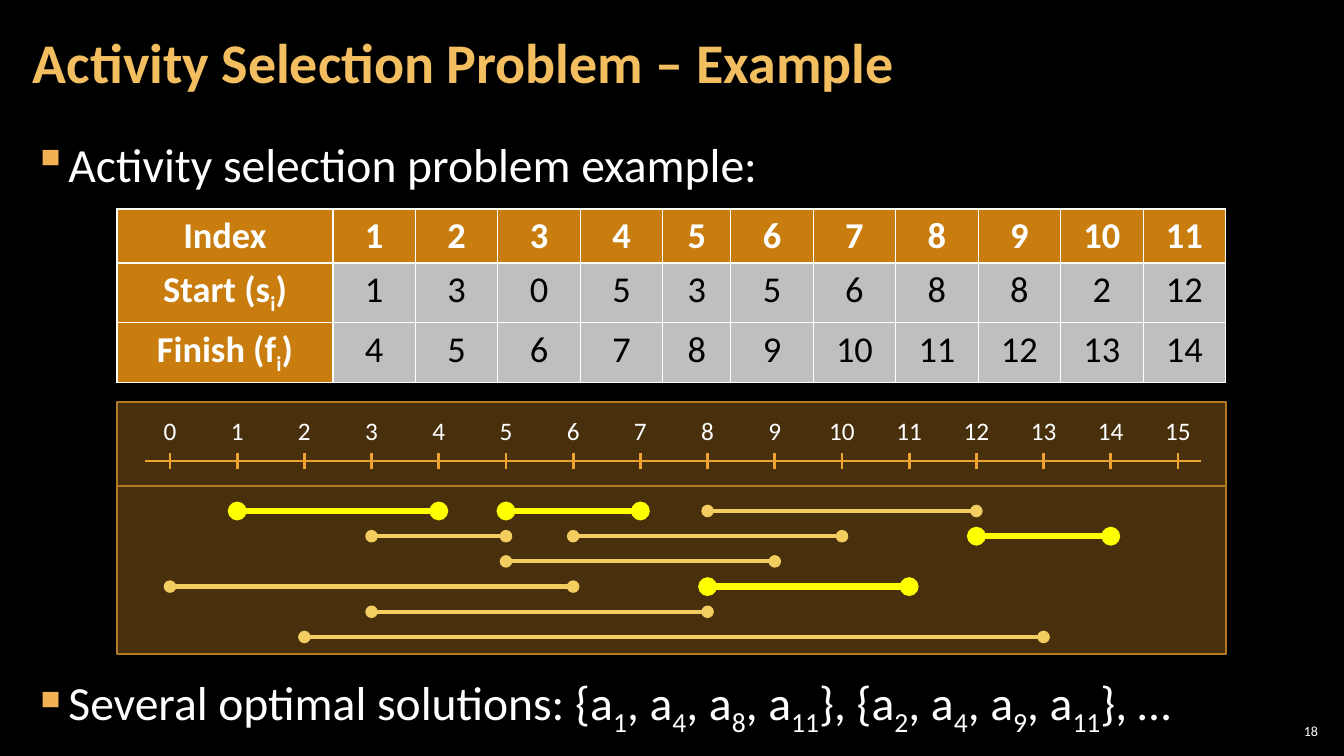
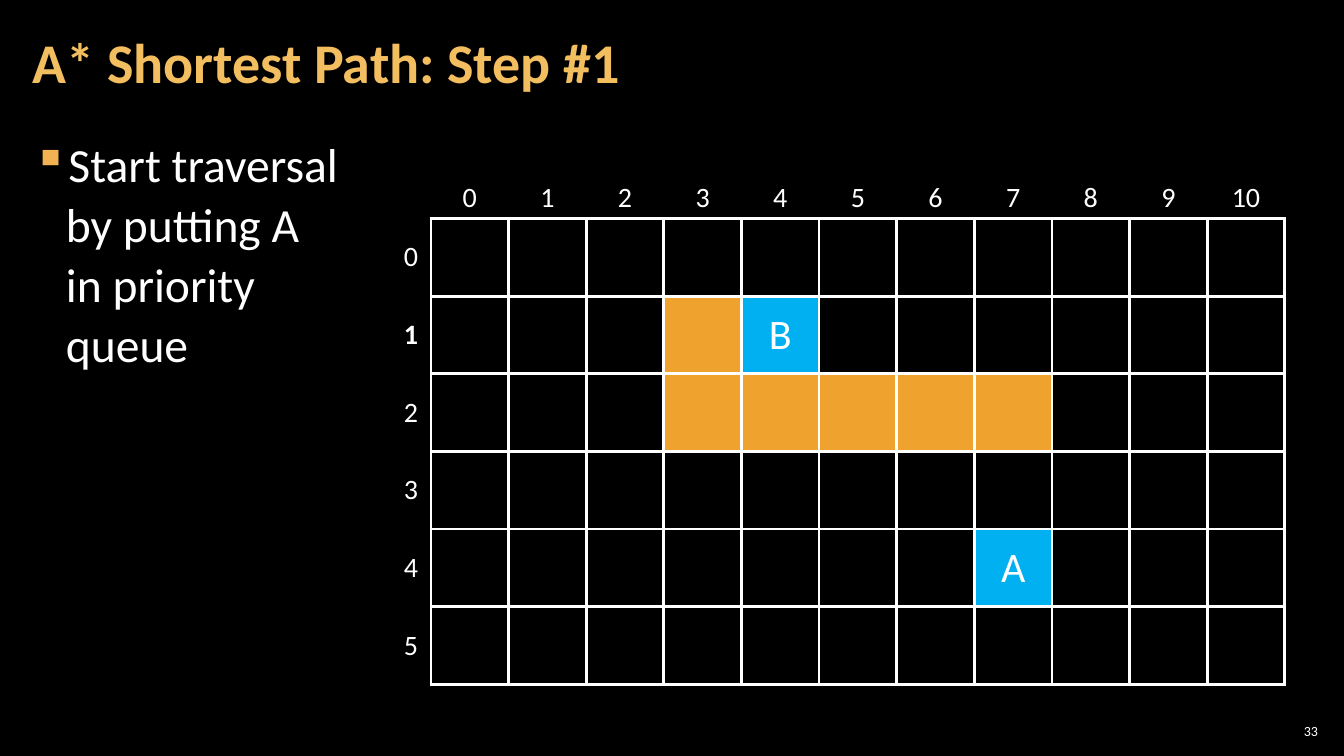
"""Build two algorithm slides: activity selection and A* shortest path."""
from lxml.etree import SubElement
from pptx import Presentation
from pptx.dml.color import RGBColor
from pptx.enum.shapes import MSO_CONNECTOR, MSO_SHAPE
from pptx.enum.text import MSO_ANCHOR, MSO_AUTO_SIZE, PP_ALIGN
from pptx.oxml.ns import qn
from pptx.util import Emu, Pt

SCALE = 12192000 / 1344
FONT = "Calibri"
BLACK = RGBColor(0x00, 0x00, 0x00)
WHITE = RGBColor(0xFF, 0xFF, 0xFF)
TITLE_GOLD = RGBColor(0xF3, 0xBE, 0x60)
BULLET_GOLD = RGBColor(0xF2, 0xB2, 0x54)
ORANGE = RGBColor(0xF0, 0xA2, 0x2E)
PANEL_EDGE = RGBColor(0xB2, 0x78, 0x22)
HEADER_BROWN = RGBColor(0xC8, 0x7D, 0x0E)
GREY = RGBColor(0xBF, 0xBF, 0xBF)
PALE_GOLD = RGBColor(0xF3, 0xCD, 0x60)
YELLOW = RGBColor(0xFF, 0xFF, 0x00)
BLUE = RGBColor(0x00, 0xB0, 0xF0)
NO_STYLE = "{2D5ABB26-0587-4C30-8999-92F81FD0307C}"


def px(*lengths):
    return [Emu(round(length * SCALE)) for length in lengths]


def write(frame, text, size=18, color=WHITE, bold=False, align=PP_ALIGN.LEFT,
          spacing=1.0, bullet=False):
    paragraph = frame.paragraphs[0]
    paragraph.alignment = align
    paragraph.line_spacing = spacing
    if bullet:
        props = paragraph._p.get_or_add_pPr()
        indent = px(33)[0]
        props.set("marL", str(indent))
        props.set("indent", str(-indent))
        tint = SubElement(props, qn("a:buClr"))
        SubElement(tint, qn("a:srgbClr"), val=str(BULLET_GOLD))
        SubElement(props, qn("a:buChar"), char="▪")
    for line_number, line in enumerate(text.split("\n")):
        if line_number:
            paragraph.add_line_break()
        for position, piece in enumerate(line.split("_")):
            run = paragraph.add_run()
            run.text = piece
            run.font.name = FONT
            run.font.size = Pt(size)
            run.font.bold = bold
            run.font.color.rgb = color
            if position % 2:
                run._r.get_or_add_rPr().set("baseline", "-25000")


prs = Presentation()
prs.slide_width, prs.slide_height = px(1344, 756)
background = prs.slide_master.background.fill
background.solid()
background.fore_color.rgb = BLACK

pages = []
for heading, page_number in [("Activity Selection Problem – Example", "18"),
                             ("A* Shortest Path: Step #1", "33")]:
    page = prs.slides.add_slide(prs.slide_layouts[5])
    title = page.shapes.title
    title.left, title.top, title.width, title.height = px(21, 4, 1055, 122)
    frame = title.text_frame
    frame.auto_size = MSO_AUTO_SIZE.NONE
    frame.vertical_anchor = MSO_ANCHOR.MIDDLE
    frame.margin_left, frame.margin_right, frame.margin_top, frame.margin_bottom = px(12, 12, 4, 4)
    write(frame, heading, size=40, color=TITLE_GOLD, bold=True, spacing=0.9)

    footer = page.shapes.add_textbox(*px(1275, 720, 47, 21)).text_frame
    footer.word_wrap = True
    footer.vertical_anchor = MSO_ANCHOR.MIDDLE
    footer.margin_left, footer.margin_right, footer.margin_top, footer.margin_bottom = px(4, 4, 4, 4)
    write(footer, page_number, size=10, align=PP_ALIGN.RIGHT)
    pages.append(page)

selection, shortest = pages

for page, top, width, height, point in [
    (selection, 128, 1301, 70, "Activity selection problem example:"),
    (selection, 666, 1301, 74,
     "Several optimal solutions: {a_1_, a_4_, a_8_, a_11_}, {a_2_, a_4_, a_9_, a_11_}, …"),
    (shortest, 128, 350, 250, "Start traversal\nby putting A\nin priority\nqueue"),
]:
    body = page.shapes.add_textbox(*px(21, top, width, height)).text_frame
    body.word_wrap = True
    body.margin_left, body.margin_right, body.margin_top, body.margin_bottom = px(12, 12, 4, 4)
    write(body, point, size=34, spacing=1.05, bullet=True)

starts = [1, 3, 0, 5, 3, 5, 6, 8, 8, 2, 12]
finishes = [4, 5, 6, 7, 8, 9, 10, 11, 12, 13, 14]
lanes = [0, 1, 3, 0, 4, 2, 1, 3, 0, 5, 1]
chosen = {1, 4, 8, 11}
indexes = range(1, 12)

schedule_rows = [["Index", *indexes], ["Start (s_i_)", *starts], ["Finish (f_i_)", *finishes]]
schedule = selection.shapes.add_table(3, 12, *px(117, 209, 1109, 173)).table
schedule_widths = [216] + [(1109 - 216 - 68) / 10] * 11
schedule_widths[5] = 68
schedule_heights = [54, 59, 60]

CELL = 854 / 11
grid_rows = [["", *range(11)]] + [[row] + [""] * 11 for row in range(6)]
grid_rows[2][5] = "B"
grid_rows[5][8] = "A"
walls = {(2, 4)} | {(3, column) for column in range(4, 9)}
grid = shortest.shapes.add_table(7, 12, *px(391, 177, 894, 507)).table
grid_widths = [40] + [CELL] * 11
grid_heights = [41] + [CELL] * 6

for table, rows, widths, heights, rule in [
    (schedule, schedule_rows, schedule_widths, schedule_heights, 1),
    (grid, grid_rows, grid_widths, grid_heights, 2.25),
]:
    table.first_row = table.horz_banding = False
    table._tbl.tblPr[0].text = NO_STYLE
    for column, width in zip(table.columns, px(*widths)):
        column.width = width
    for row, height in zip(table.rows, px(*heights)):
        row.height = height
    for r, values in enumerate(rows):
        for c, value in enumerate(values):
            cell = table.cell(r, c)
            label = r == 0 or c == 0
            if table is schedule:
                sides = "LRTB"
                fill = HEADER_BROWN if label else GREY
                style = {"size": 26, "bold": label, "color": WHITE if label else BLACK}
            else:
                sides = "LRTB" if r and c else "R" if r else "B" if c else ""
                fill = ORANGE if (r, c) in walls else BLUE if value in ("A", "B") else None
                style = {"size": 20 if label else 30, "bold": (r, c) == (2, 0)}
                cell.vertical_anchor = MSO_ANCHOR.MIDDLE
                cell.margin_left, cell.margin_right, cell.margin_top, cell.margin_bottom = px(8, 8, 4, 4)
            for side in sides:
                border = SubElement(cell._tc.get_or_add_tcPr(), qn(f"a:ln{side}"), w=str(Pt(rule)))
                paint = SubElement(border, qn("a:solidFill"))
                SubElement(paint, qn("a:srgbClr"), val=str(WHITE))
            if fill is None:
                cell.fill.background()
            else:
                cell.fill.solid()
                cell.fill.fore_color.rgb = fill
            if value != "":
                write(cell.text_frame, str(value), align=PP_ALIGN.CENTER, **style)

for top, height in [(486, 168), (402, 84)]:
    panel = selection.shapes.add_shape(MSO_SHAPE.RECTANGLE, *px(117, top, 1109, height))
    panel.shadow.inherit = False
    panel.fill.solid()
    panel.fill.fore_color.rgb = ORANGE
    SubElement(panel._element.spPr.find(".//" + qn("a:srgbClr")), qn("a:alpha"), val="30000")
    panel.line.color.rgb = PANEL_EDGE
    panel.line.width = Pt(1)

hours = [170 + 1008 / 15 * hour for hour in range(16)]
strokes = [(145, 461, 1201, 461, ORANGE, 2, False)]
for hour, x in enumerate(hours):
    strokes.append((x, 453, x, 469, ORANGE, 2, False))
    hour_label = selection.shapes.add_textbox(*px(x - 30, 410, 60, 40)).text_frame
    hour_label.word_wrap = True
    write(hour_label, str(hour), align=PP_ALIGN.CENTER)
for index, start, finish, lane in zip(indexes, starts, finishes, lanes):
    y = 511 + 126 / 5 * lane
    color, weight = (YELLOW, 4.5) if index in chosen else (PALE_GOLD, 3)
    strokes.append((hours[start], y, hours[finish], y, color, weight, True))

for x1, y1, x2, y2, color, weight, dotted in strokes:
    stroke = selection.shapes.add_connector(MSO_CONNECTOR.STRAIGHT, *px(x1, y1, x2, y2))
    stroke.line.color.rgb = color
    stroke.line.width = Pt(weight)
    props = stroke._element.spPr
    if dotted:
        for end in ("a:headEnd", "a:tailEnd"):
            SubElement(props.find(qn("a:ln")), qn(end), type="oval")
    SubElement(props, qn("a:effectLst"))

prs.save("out.pptx")
